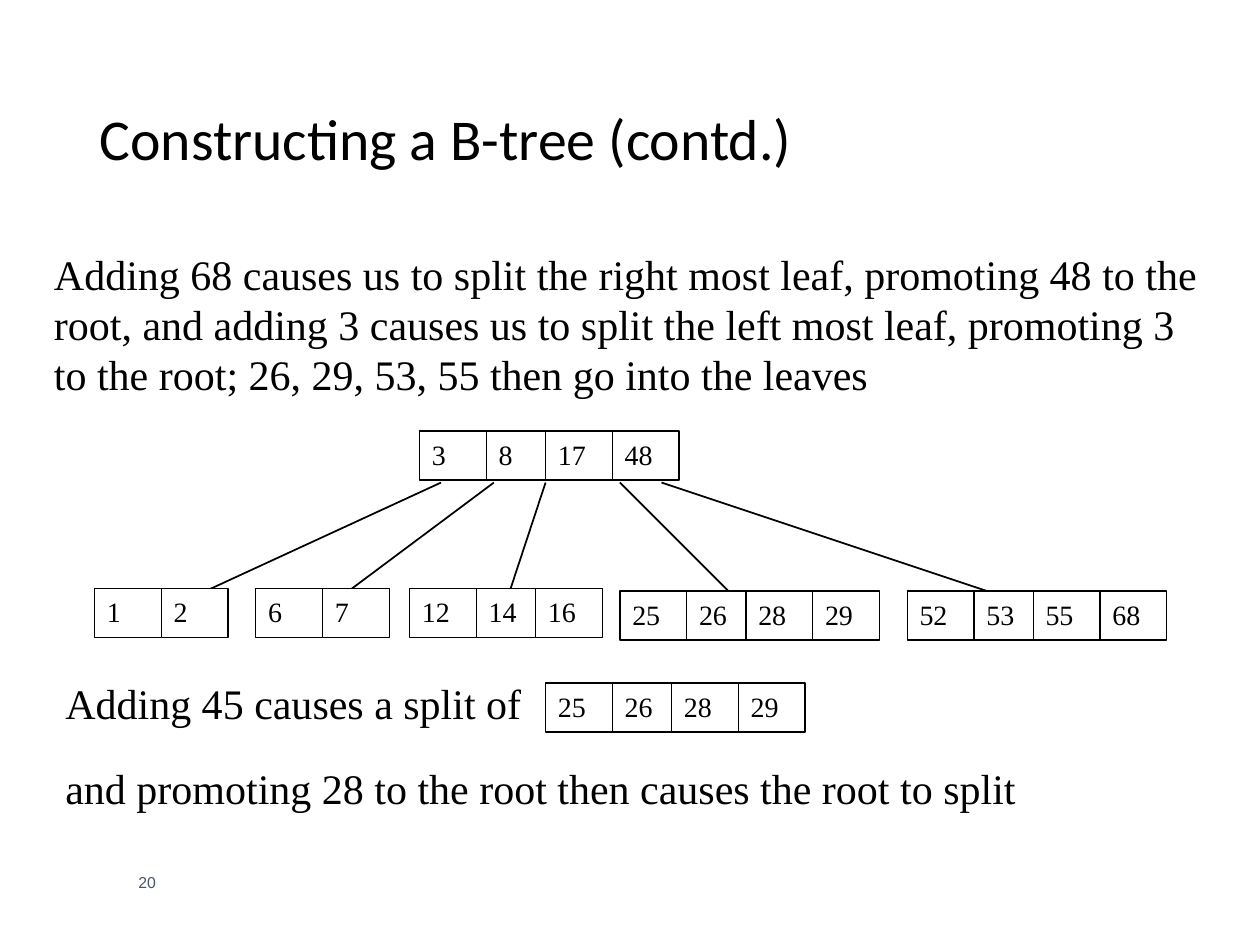
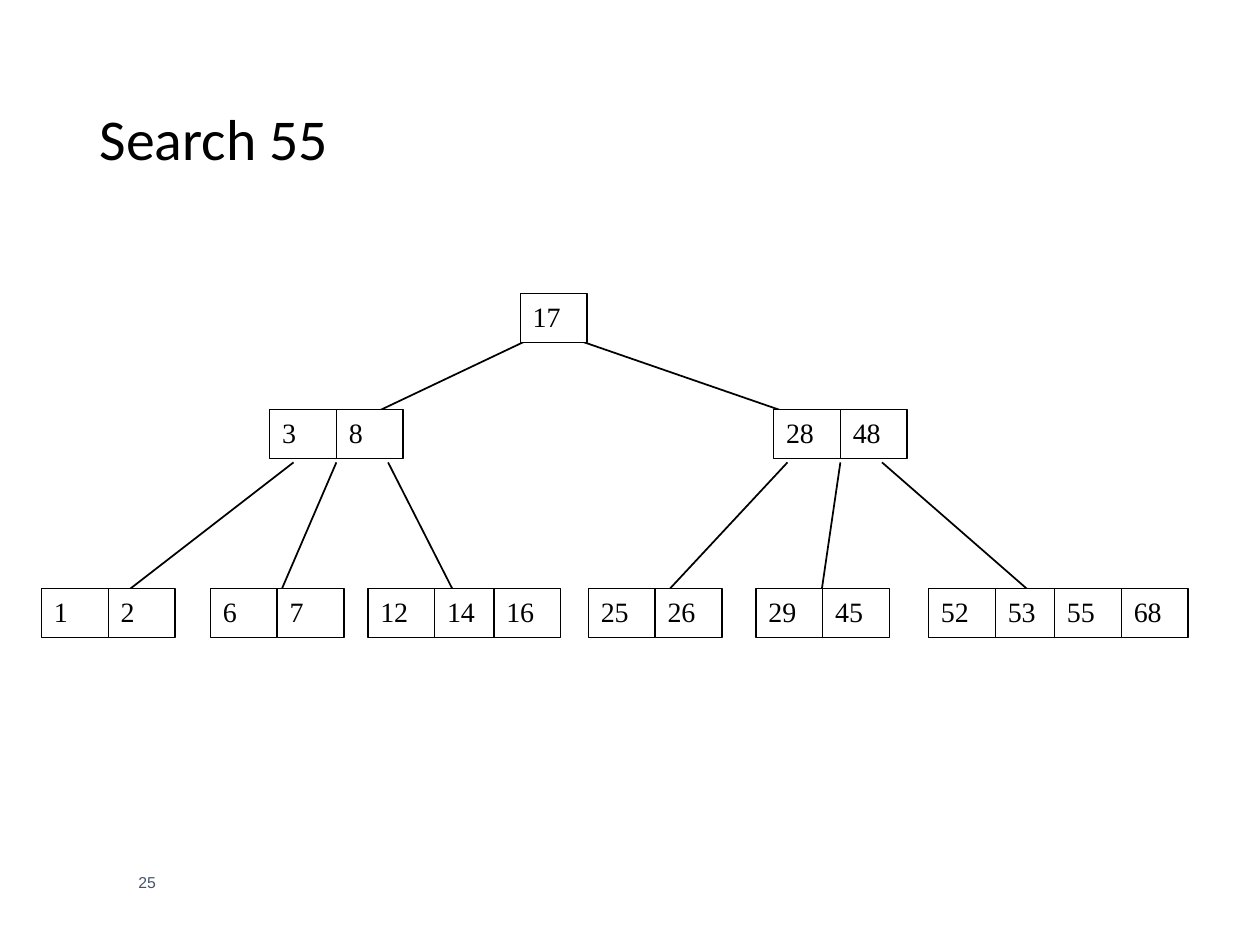
from pptx import Presentation
from pptx.dml.color import RGBColor
from pptx.enum.shapes import MSO_CONNECTOR, MSO_SHAPE
from pptx.enum.text import MSO_ANCHOR, MSO_AUTO_SIZE, PP_ALIGN
from pptx.oxml.ns import qn
from pptx.util import Inches, Pt
from lxml.etree import SubElement

BLACK = RGBColor(0x00, 0x00, 0x00)
WHITE = RGBColor(0xFF, 0xFF, 0xFF)
SLATE = RGBColor(0x44, 0x54, 0x6A)
SERIF = "Times New Roman"
CELL_W, CELL_H, PAIR_W = 0.53, 0.39, 1.0

SLIDES = [
    {
        "title": "Constructing a B-tree (contd.)",
        "number": "20",
        "edges": [
            (3.5, 3.83, 1.33, 4.83),
            (3.92, 3.83, 2.58, 4.83),
            (4.33, 3.83, 4, 4.83),
            (4.92, 3.83, 5.92, 4.83),
            (5.25, 3.83, 8.25, 4.83),
        ],
        "nodes": [
            (3.33, 3.42, [3, 8, 17, 48]),
            (0.75, 4.67, [1, 2]),
            (2.03, 4.67, [6, 7]),
            (3.25, 4.67, [12, 14, 16]),
            (4.92, 4.69, [25, 26, 28, 29]),
            (7.2, 4.69, [52, 53, 55, 68]),
            (4.33, 5.42, [25, 26, 28, 29]),
        ],
        "notes": [
            (0.33, 1.92, 9.33, 1.3,
             "Adding 68 causes us to split the right most leaf, promoting 48 to the "
             "root, and adding 3 causes us to split the left most leaf, promoting 3 "
             "to the root; 26, 29, 53, 55 then go into the leaves"),
            (0.42, 5.33, 4, 0.5, "Adding 45 causes a split of"),
            (0.42, 6, 9.08, 0.5,
             "and promoting 28 to the root then causes the root to split"),
        ],
    },
    {
        "title": "Search 55",
        "number": "25",
        "edges": [
            (2.33, 3.67, 0.83, 4.83),
            (2.67, 3.67, 2.17, 4.83),
            (3.08, 3.67, 3.67, 4.83),
            (6.25, 3.67, 5.17, 4.83),
            (6.67, 3.67, 6.5, 4.83),
            (7, 3.67, 8.33, 4.83),
            (4.25, 2.67, 2.67, 3.42),
            (4.5, 2.67, 6.67, 3.42),
        ],
        "nodes": [
            (4.13, 2.33, [17]),
            (2.14, 3.25, [3, 8]),
            (6.14, 3.25, [28, 48]),
            (0.33, 4.67, [1, 2]),
            (1.67, 4.67, [6, 7]),
            (2.92, 4.67, [12, 14, 16]),
            (4.67, 4.67, [25, 26]),
            (6, 4.67, [29, 45]),
            (7.37, 4.67, [52, 53, 55, 68]),
        ],
        "notes": [],
    },
]


def write(sp, text, size, font=SERIF, color=BLACK, anchor=MSO_ANCHOR.TOP,
          spacing=None, wrap=True):
    tf = sp.text_frame
    tf.word_wrap = wrap
    tf.auto_size = MSO_AUTO_SIZE.NONE
    tf.vertical_anchor = anchor
    p = tf.paragraphs[0]
    p.alignment = PP_ALIGN.LEFT
    p.line_spacing = spacing
    r = p.add_run()
    r.text = text
    r.font.size = Pt(size)
    r.font.name = font
    r.font.color.rgb = color


prs = Presentation()
prs.slide_width = Inches(10)
prs.slide_height = Inches(7.5)

for content in SLIDES:
    s = prs.slides.add_slide(prs.slide_layouts[5])

    title = s.shapes.title
    title.left, title.top = Inches(0.69), Inches(0.4)
    title.width, title.height = Inches(8.62), Inches(1.45)
    write(title, content["title"], 33, font="Calibri",
          anchor=MSO_ANCHOR.MIDDLE, spacing=0.9)

    number = s.shapes.add_textbox(Inches(1), Inches(6.75), Inches(4.33), Inches(0.5))
    write(number, content["number"], 9, font="Arial", color=SLATE,
          anchor=MSO_ANCHOR.MIDDLE)

    for edge in content["edges"]:
        line = s.shapes.add_connector(MSO_CONNECTOR.STRAIGHT, *map(Inches, edge))
        line.line.color.rgb = BLACK
        line.line.width = Pt(1)
        SubElement(line._element.spPr, qn("a:effectLst"))

    for left, top, keys in content["nodes"]:
        for i, key in enumerate(keys):
            x = left + i // 2 * PAIR_W + i % 2 * CELL_W
            cell = s.shapes.add_shape(MSO_SHAPE.RECTANGLE, Inches(x), Inches(top),
                                      Inches(CELL_W), Inches(CELL_H))
            cell.shadow.inherit = False
            cell.fill.solid()
            cell.fill.fore_color.rgb = WHITE
            cell.line.color.rgb = BLACK
            cell.line.width = Pt(0.75)
            write(cell, str(key), 16, wrap=False)

    for *box, text in content["notes"]:
        note = s.shapes.add_textbox(*map(Inches, box))
        write(note, text, 24)

prs.save("out.pptx")
